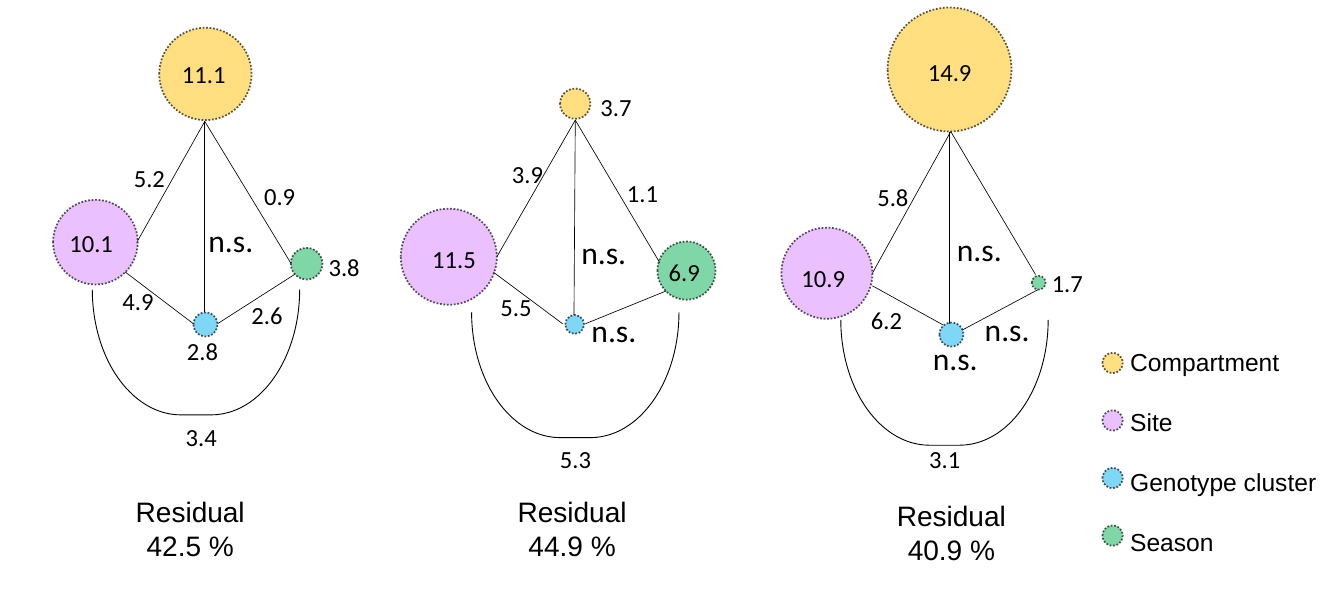
from lxml import etree
from pptx import Presentation
from pptx.dml.color import RGBColor
from pptx.enum.dml import MSO_LINE
from pptx.enum.shapes import MSO_CONNECTOR, MSO_SHAPE
from pptx.enum.text import MSO_AUTO_SIZE, PP_ALIGN
from pptx.oxml.ns import qn
from pptx.util import Inches, Pt

ELLIPSE, BRACKET = MSO_SHAPE.OVAL, MSO_SHAPE.RIGHT_BRACKET
STRAIGHT, DOTTED = MSO_CONNECTOR.STRAIGHT, MSO_LINE.ROUND_DOT
LEFT, CENTER = PP_ALIGN.LEFT, PP_ALIGN.CENTER
GROW = MSO_AUTO_SIZE.SHAPE_TO_FIT_TEXT

COLORS = {"Compartment": "FFC000", "Site": "D883FF", "Genotype cluster": "00B0F0",
          "Season": "00B050", "ink": "000000"}
FACTORS = ["Compartment", "Site", "Genotype cluster", "Season"]

# circles: left, top, diameter, in the order of FACTORS
# edges: from x, y, to x, y
# values: text, left, top
# bracket: left, top of the visible arc; residual: share, left, top
PANELS = [
    {"circles": [(1.26, 0.22, 0.73), (0.42, 1.58, 0.67), (1.53, 2.47, 0.19), (2.3, 1.96, 0.25)],
     "edges": [(1.08, 1.92, 1.62, 0.96), (2.3, 2.08, 1.62, 0.96), (1.62, 2.47, 1.62, 0.96),
               (1.53, 2.56, 0.99, 2.15), (2.33, 2.17, 1.72, 2.56)],
     "values": [("11.1", 1.34, 0.42), ("10.1", 0.45, 1.75), ("2.8", 1.38, 2.61),
                ("3.8", 2.5, 1.94), ("5.2", 0.96, 1.24), ("0.9", 1.99, 1.38),
                ("2.6", 1.89, 2.32), ("4.9", 0.87, 2.21), ("3.4", 1.37, 3.29),
                ("n.s.", 1.55, 1.7)],
     "bracket": (0.73, 2.29), "residual": ("42.5 %", 0.97, 3.86)},
    {"circles": [(4.43, 0.7, 0.24), (3.17, 1.65, 0.76), (4.47, 2.49, 0.15), (5.2, 1.91, 0.46)],
     "edges": [(3.93, 2.03, 4.55, 0.95), (5.22, 2.08, 4.55, 0.95), (4.54, 2.49, 4.55, 0.95),
               (4.45, 2.56, 3.9, 2.15), (5.27, 2.3, 4.63, 2.56)],
     "values": [("3.7", 4.65, 0.68), ("11.5", 3.32, 1.88), ("6.9", 5.19, 1.98),
                ("3.9", 3.95, 1.21), ("5.5", 3.86, 2.26), ("1.1", 4.86, 1.36),
                ("5.3", 4.33, 3.46), ("n.s.", 4.58, 2.41), ("n.s.", 4.5, 1.79)],
     "bracket": (3.73, 2.47), "residual": ("44.9 %", 3.99, 3.86)},
    {"circles": [(7.02, 0.06, 0.98), (6.18, 1.8, 0.72), (7.43, 2.55, 0.19), (8.16, 2.18, 0.11)],
     "edges": [(6.9, 2.16, 7.52, 1.04), (8.19, 2.17, 7.52, 1.04), (7.51, 2.56, 7.51, 1.04),
               (7.46, 2.57, 6.9, 2.26), (8.21, 2.29, 7.61, 2.61)],
     "values": [("14.9", 7.24, 0.4), ("10.9", 6.24, 2.03), ("1.7", 8.22, 2.07),
                ("5.8", 6.84, 1.39), ("6.2", 6.79, 2.36), ("3.1", 7.25, 3.46),
                ("n.s.", 7.47, 1.77), ("n.s.", 7.28, 2.63), ("n.s.", 7.69, 2.4)],
     "bracket": (6.65, 2.53), "residual": ("40.9 %", 6.99, 3.89)},
]
ARC_WIDTH, ARC_DEPTH = 1.64, 0.99
LEGEND_LEFT, LEGEND_TOP, LEGEND_PITCH, LEGEND_DOT = 8.72, 2.79, 0.455, 0.16


def rgb(name):
    return RGBColor.from_string(COLORS[name])


def add_text(slide, text, left, top, width, height, size=14, font="Calibri",
             align=LEFT, wrap=False, gap=0):
    """Add a text box with one paragraph per line of text, gap points apart."""
    box = slide.shapes.add_textbox(Inches(left), Inches(top), Inches(width), Inches(height))
    frame = box.text_frame
    frame.word_wrap = wrap
    frame.auto_size = GROW
    frame.text = text
    for index, paragraph in enumerate(frame.paragraphs):
        paragraph.alignment = align
        paragraph.space_before = Pt(gap if index else 0)
        paragraph.font.size = Pt(size)
        paragraph.font.name = font
        paragraph.font.color.rgb = rgb("ink")


def add_circle(slide, factor, left, top, diameter):
    circle = slide.shapes.add_shape(ELLIPSE, Inches(left), Inches(top),
                                    Inches(diameter), Inches(diameter))
    circle.shadow.inherit = False
    circle.fill.solid()
    circle.fill.fore_color.rgb = rgb(factor)
    circle.line.color.rgb = rgb("ink")
    circle.line.width = Pt(1)
    circle.line.dash_style = DOTTED
    fill_and_line = circle.element.spPr.iter(qn("a:srgbClr"))
    for color, opacity in zip(list(fill_and_line), (50, 65)):
        etree.SubElement(color, qn("a:alpha")).set("val", str(opacity * 1000))


def add_edge(slide, x1, y1, x2, y2):
    edge = slide.shapes.add_connector(STRAIGHT, Inches(x1), Inches(y1), Inches(x2), Inches(y2))
    edge.line.color.rgb = rgb("ink")
    edge.line.width = Pt(0.38)
    etree.SubElement(edge.element.spPr, qn("a:effectLst"))


def add_arc(slide, left, top):
    """Add a bracket turned so that it opens upwards; left and top are as seen."""
    shift = (ARC_WIDTH - ARC_DEPTH) / 2
    arc = slide.shapes.add_shape(BRACKET, Inches(left + shift), Inches(top - shift),
                                 Inches(ARC_DEPTH), Inches(ARC_WIDTH))
    arc.rotation = 90
    arc.adjustments[0] = 0.708
    arc.shadow.inherit = False
    arc.fill.background()
    arc.line.color.rgb = rgb("ink")
    arc.line.width = Pt(0.5)


def add_panel(slide, panel):
    for edge in panel["edges"]:
        add_edge(slide, *edge)
    for factor, circle in zip(FACTORS, panel["circles"]):
        add_circle(slide, factor, *circle)
    add_arc(slide, *panel["bracket"])
    for value, left, top in panel["values"]:
        if value == "n.s.":
            add_text(slide, value, left, top, 0.56, 0.4, size=18)
        else:
            add_text(slide, value, left, top, 0.15 + 0.1 * len(value), 0.34)
    share, left, top = panel["residual"]
    add_text(slide, f"Residual\n{share}", left, top, 1.07, 0.64,
             size=16, font="Arial", align=CENTER)


def add_legend(slide):
    for row, factor in enumerate(FACTORS):
        add_circle(slide, factor, LEGEND_LEFT, LEGEND_TOP + row * LEGEND_PITCH, LEGEND_DOT)
    add_text(slide, "\n".join(FACTORS), LEGEND_LEFT + 0.12, LEGEND_TOP - 0.1, 1.75, 1.75,
             font="Arial", wrap=True, gap=17.5)


def main():
    deck = Presentation()
    deck.slide_width, deck.slide_height = Inches(10.63), Inches(4.72)
    slide = deck.slides.add_slide(deck.slide_layouts[6])
    for panel in PANELS:
        add_panel(slide, panel)
    add_legend(slide)
    deck.save("out.pptx")


if __name__ == "__main__":
    main()
